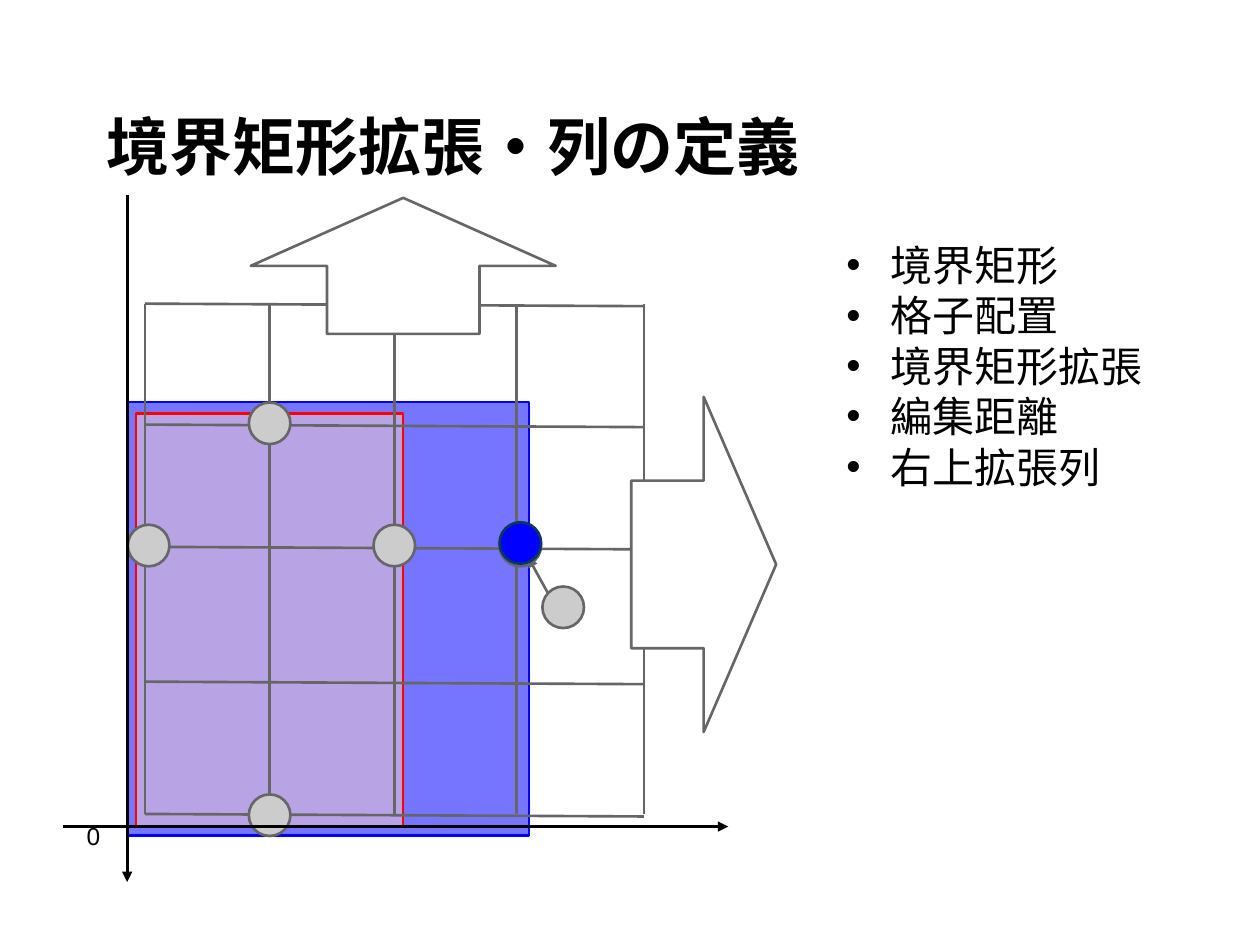
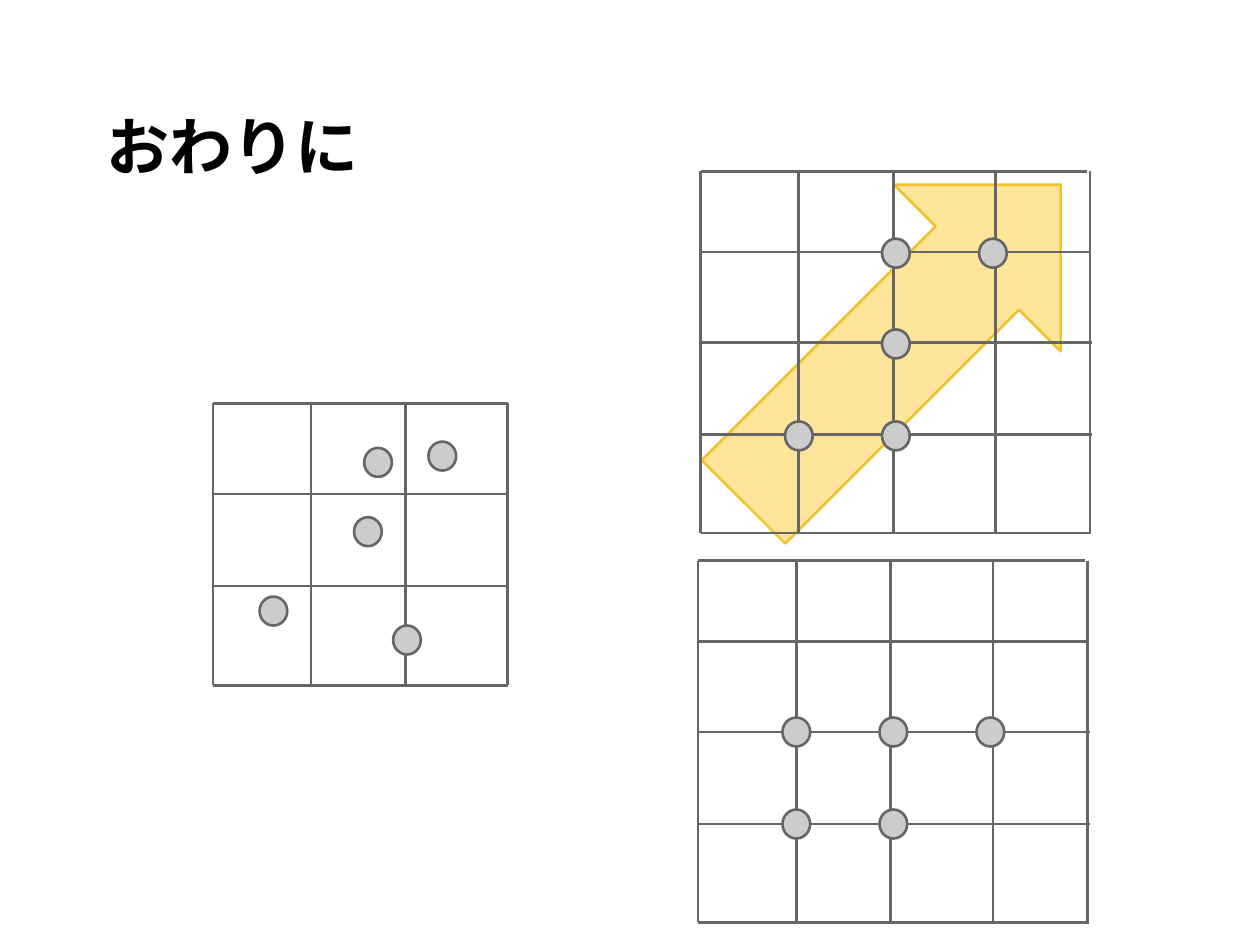
from lxml.etree import SubElement
from pptx import Presentation
from pptx.dml.color import RGBColor
from pptx.enum.shapes import MSO_CONNECTOR, MSO_SHAPE
from pptx.enum.text import MSO_ANCHOR
from pptx.oxml.ns import qn
from pptx.util import Inches, Pt

BLACK = RGBColor(0, 0, 0)
WHITE = RGBColor(255, 255, 255)
GRAY = RGBColor(0x66, 0x66, 0x66)
SILVER = RGBColor(0xCC, 0xCC, 0xCC)
BLUE = RGBColor(0, 0, 255)
NAVY = RGBColor(0x07, 0x37, 0x63)
RED = RGBColor(255, 0, 0)
PINK = RGBColor(0xF4, 0xCC, 0xCC)
YELLOW = RGBColor(0xFF, 0xE5, 0x99)
GOLD = RGBColor(0xF1, 0xC2, 0x32)

FONT = "Arial"
LINE_WIDTH = Pt(1.5)
COLUMNS, ROWS = 10, 7.5
BIG_DOT = (0.33, 0.33)
SMALL_DOT = (0.22, 0.23)


class Deck:
    """Draws on the current slide; lengths are columns and rows of its grid."""

    def __init__(self):
        self.presentation = Presentation()
        self.presentation.slide_width = Inches(10)
        self.presentation.slide_height = Inches(7.5)
        self.column = self.presentation.slide_width / COLUMNS
        self.row = self.presentation.slide_height / ROWS
        self.slide = None

    def place(self, *lengths):
        """Turn alternating columns and rows into slide units."""
        return [round(length * (self.row if index % 2 else self.column))
                for index, length in enumerate(lengths)]

    def add_slide(self, title):
        self.slide = self.presentation.slides.add_slide(
            self.presentation.slide_layouts[6])
        title_box = self.text((0.5, 0.3, 9, 1.25), [title], 36, bold=True)
        title_box.text_frame.vertical_anchor = MSO_ANCHOR.BOTTOM
        self.indent(title_box.text_frame.paragraphs[0], 0, 0.25)

    def text(self, box, lines, size, bold=False):
        shape = self.slide.shapes.add_textbox(*self.place(*box))
        frame = shape.text_frame
        frame.word_wrap = True
        frame.margin_left = frame.margin_right = Inches(0.1)
        frame.margin_top = frame.margin_bottom = Inches(0.1)
        frame.text = "\n".join(lines)
        for paragraph in frame.paragraphs:
            for run in paragraph.runs:
                run.font.name = FONT
                run.font.size = Pt(size)
                run.font.bold = bold
                run.font.color.rgb = BLACK
                east_asian = SubElement(run.font._element, qn("a:ea"))
                east_asian.set("typeface", FONT)
        return shape

    def indent(self, paragraph, margin, first_line):
        properties = paragraph._p.get_or_add_pPr()
        properties.set("marL", str(Inches(margin)))
        properties.set("indent", str(Inches(first_line)))
        return properties

    def bullets(self, box, lines, size):
        shape = self.text(box, lines, size)
        for paragraph in shape.text_frame.paragraphs:
            properties = self.indent(paragraph, 0.5, -0.35)
            color = SubElement(properties, qn("a:buClr"))
            SubElement(color, qn("a:srgbClr")).set("val", str(BLACK))
            SubElement(properties, qn("a:buSzPct")).set("val", "97000")
            SubElement(properties, qn("a:buFont")).set("typeface", FONT)
            SubElement(properties, qn("a:buChar")).set("char", "•")

    def shape(self, kind, box, fill, outline, opacity=100, rotation=0):
        shape = self.slide.shapes.add_shape(kind, *self.place(*box))
        shape.shadow.inherit = False
        shape.rotation = rotation
        shape.fill.solid()
        shape.fill.fore_color.rgb = fill
        shape.line.color.rgb = outline
        shape.line.width = LINE_WIDTH
        if opacity < 100:
            color = shape._element.spPr.find(qn("a:solidFill"))[0]
            SubElement(color, qn("a:alpha")).set("val", str(opacity * 1000))

    def dots(self, centers, size, fill=SILVER, outline=GRAY):
        width, height = size
        for x, y in centers:
            box = (x - width / 2, y - height / 2, width, height)
            self.shape(MSO_SHAPE.OVAL, box, fill, outline)

    def line(self, start, end, color=GRAY, arrow=False):
        line = self.slide.shapes.add_connector(
            MSO_CONNECTOR.STRAIGHT, *self.place(*start, *end))
        line.line.color.rgb = color
        line.line.width = LINE_WIDTH
        if arrow:
            SubElement(line.line._get_or_add_ln(), qn("a:tailEnd")).set("type", "triangle")
        SubElement(line._element.spPr, qn("a:effectLst"))

    def lattice(self, columns, rows, ends=None, drop=0):
        """Rule a lattice; ends are the right ends of its rows, drop their slope."""
        for x in columns:
            self.line((x, rows[0]), (x, rows[-1]))
        for y, end in zip(rows, ends or [columns[-1]] * len(rows)):
            self.line((columns[0], y), (end, y + drop))


def shift(values, distance):
    return [value + distance for value in values]


def draw_definition(deck):
    deck.add_slide("境界矩形拡張・列の定義")
    deck.shape(MSO_SHAPE.RECTANGLE, (1.01, 3.19, 3.19, 3.44), BLUE, BLUE, opacity=54)
    deck.shape(MSO_SHAPE.RECTANGLE, (1.08, 3.28, 2.12, 3.28), PINK, RED, opacity=53)
    deck.lattice([1.15, 2.14, 3.13, 4.1, 5.11], [2.41, 3.37, 4.34, 5.41, 6.46],
                 drop=0.02)
    middle = 4.33
    deck.dots([(2.14, 3.36), (1.18, middle), (2.14, 6.47), (3.13, middle),
               (4.13, middle)], BIG_DOT)

    deck.line((1.01, 1.55), (1.01, 7), BLACK, arrow=True)
    deck.line((0.5, 6.56), (5.78, 6.56), BLACK, arrow=True)
    deck.text((0.59, 6.42, 0.57, 0.84), ["0"], 14)
    deck.shape(MSO_SHAPE.UP_ARROW, (1.99, 1.57, 2.42, 1.08), WHITE, GRAY)
    deck.shape(MSO_SHAPE.RIGHT_ARROW, (5.01, 3.15, 1.15, 2.66), WHITE, GRAY)

    deck.dots([(4.47, 4.82)], BIG_DOT)
    deck.line((4.35, 4.71), (4.19, 4.42), arrow=True)
    deck.dots([(4.13, 4.31)], BIG_DOT, BLUE, NAVY)
    deck.bullets((6.47, 1.8, 2.97, 5.02),
                 ["境界矩形", "格子配置", "境界矩形拡張", "編集距離", "右上拡張列"], 24)


def draw_conclusion(deck):
    deck.add_slide("おわりに")
    deck.lattice([1.69, 2.47, 3.22, 4.03], [3.2, 3.92, 4.65, 5.44])
    deck.dots([(3, 3.67), (2.92, 4.22), (2.17, 4.85), (3.23, 5.08), (3.51, 3.62)],
              SMALL_DOT)

    deck.shape(MSO_SHAPE.RIGHT_ARROW, (5.38, 1.79, 3.56, 1.87), YELLOW, GOLD,
               rotation=315)
    columns = [5.56, 6.34, 7.09, 7.9, 8.65]
    rows = [1.36, 2, 2.72, 3.45, 4.23]
    ends = [8.63, 8.64, 8.67, 8.67, 8.66]
    left, center, right = 6.34, 7.11, 7.88
    high, middle, low = 2.01, 2.73, 3.46
    deck.lattice(columns, rows, ends)
    deck.dots([(center, high), (center, middle), (left, low), (center, low),
               (right, high)], SMALL_DOT)

    across, down = -0.02, 3.09
    deck.lattice(shift(columns, across), shift(rows, down), shift(ends, across))
    high, low = shift((middle, low), down - 0.01)
    left, center, right = shift((left, center, right), across)
    deck.dots([(center, high), (left, high), (left, low), (center, low),
               (right, high)], SMALL_DOT)


def main():
    deck = Deck()
    draw_definition(deck)
    draw_conclusion(deck)
    deck.presentation.save("out.pptx")


if __name__ == "__main__":
    main()
